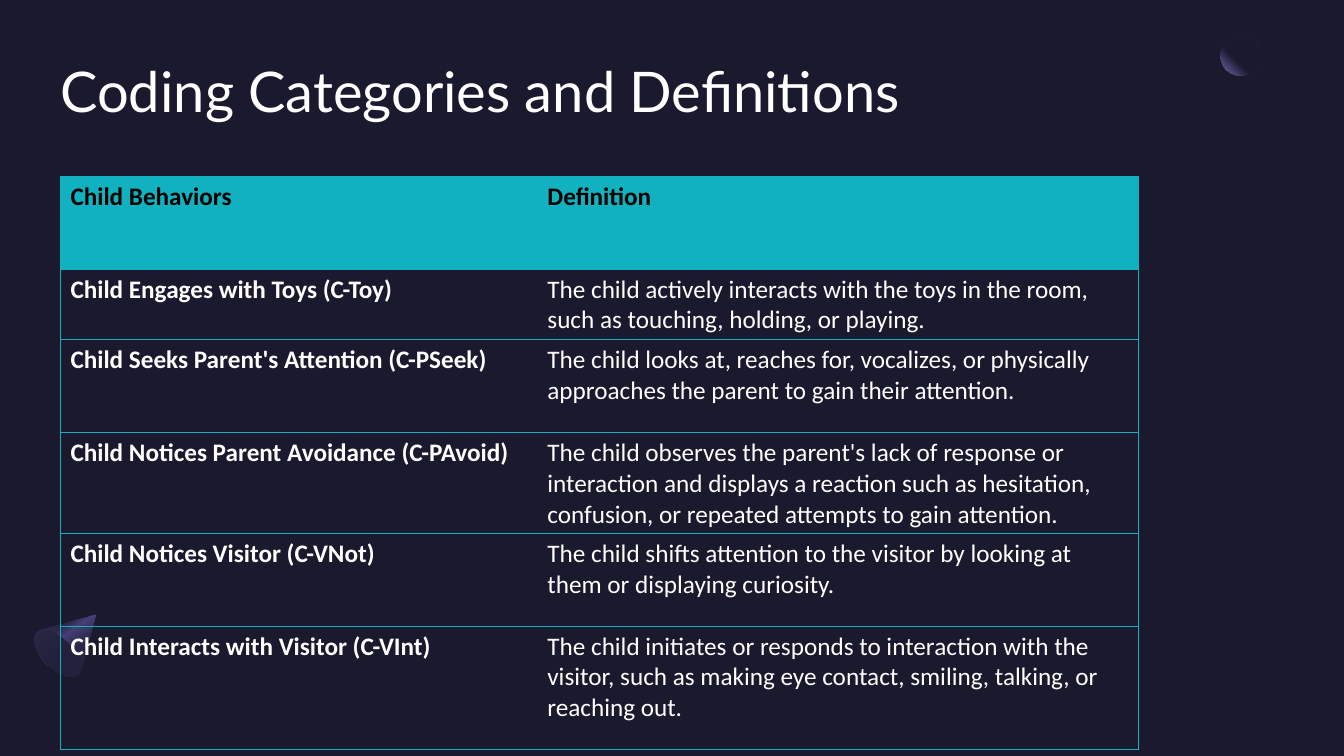
"""Build the slide of coding categories and their definitions."""
from lxml import etree
from pptx import Presentation
from pptx.dml.color import RGBColor
from pptx.enum.shapes import MSO_SHAPE
from pptx.oxml import parse_xml
from pptx.oxml.ns import nsdecls
from pptx.util import Inches, Pt

OVAL = MSO_SHAPE.OVAL
PLAIN = "{2D5ABB26-0587-4C30-8999-92F81FD0307C}"
HUES = {"night": "1B192E", "lilac": "7771B2", "dusk": "2C284A", "plum": "454075",
        "shade": "23213C", "teal": "12B1BF", "white": "FFFFFF", "black": "000000"}
CORNER = '<a:path path="circle"><a:fillToRect l="100000" b="100000"/></a:path>'
ROWS = [
    ("Child Behaviors", "Definition", 12.27),
    ("Child Engages with Toys (C-Toy)",
     "The child actively interacts with the toys in the room, such as touching, "
     "holding, or playing.", 9.2),
    ("Child Seeks Parent's Attention (C-PSeek)",
     "The child looks at, reaches for, vocalizes, or physically approaches the "
     "parent to gain their attention.", 12.27),
    ("Child Notices Parent Avoidance (C-PAvoid)",
     "The child observes the parent's lack of response or interaction and displays "
     "a reaction such as hesitation, confusion, or repeated attempts to gain "
     "attention.", 13.07),
    ("Child Notices Visitor (C-VNot)",
     "The child shifts attention to the visitor by looking at them or displaying "
     "curiosity.", 12.27),
    ("Child Interacts with Visitor (C-VInt)",
     "The child initiates or responds to interaction with the visitor, such as "
     "making eye contact, smiling, talking, or reaching out.", 16.27),
]
CONE = [(713, 8133), (600, 8880), (585, 8920), (548, 8947), (495, 8933), (420, 8880),
        (345, 8787), (293, 8667), (263, 8547), (255, 8440), (270, 8360), (293, 8333)]

deck = Presentation()
deck.slide_width, deck.slide_height = Inches(13.33), Inches(7.5)
col, row = deck.slide_width / 100, deck.slide_height / 100
slide = deck.slides.add_slide(deck.slide_layouts[6])
slide.background.fill.solid()
slide.background.fill.fore_color.rgb = RGBColor.from_string(HUES["night"])


def blend(shape, stops, course):
    """Give a shape a gradient and no line."""
    marks = "".join(f'<a:gs pos="{at * 1000}"><a:srgbClr val="{HUES[hue]}"/></a:gs>'
                    for at, hue in stops)
    shape.shadow.inherit = False
    shape.line.fill.background()
    shape.fill.background()
    old = shape._element.spPr.find("{*}noFill")
    old.getparent().replace(old, parse_xml(
        f'<a:gradFill {nsdecls("a")} rotWithShape="1"><a:gsLst>{marks}</a:gsLst>'
        f'{course}</a:gradFill>'))


def write(frame, text, font, size, hue, bold=False):
    """Put one run of text in a frame."""
    frame.word_wrap = True
    run = frame.paragraphs[0].add_run()
    run.text = text
    run.font.name, run.font.size, run.font.bold = font, Pt(size), bold
    run.font.color.rgb = RGBColor.from_string(HUES[hue])


moon = slide.shapes.add_shape(OVAL, int(90.82 * col), int(4.8 * row),
                              int(2.93 * col), int(5.2 * row))
blend(moon, [(60, "night"), (100, "lilac")], CORNER)

pen = slide.shapes.build_freeform(*CONE[0], scale=(col / 100, row / 100))
pen.add_line_segments(CONE[1:], close=True)
blend(pen.convert_to_shape(),
      [(30, "dusk"), (40, "plum"), (60, "dusk"), (100, "night")],
      f'<a:lin ang="{55 * 60000}" scaled="0"/>')

base = slide.shapes.add_shape(OVAL, int(3.15 * col), int(82.53 * row),
                              int(2.25 * col), int(7.87 * row))
base.rotation = 135
blend(base, [(50, "shade"), (100, "dusk")], f'<a:lin ang="{90 * 60000}" scaled="0"/>')

title = slide.shapes.add_textbox(int(4.5 * col), int(7.47 * row),
                                 int(91 * col), int(19.47 * row)).text_frame
title.margin_left = title.margin_top = title.margin_right = title.margin_bottom = 0
write(title, "Coding Categories and Definitions", "Lato", 40, "white")

frame = slide.shapes.add_table(len(ROWS), 2, int(4.5 * col), int(23.33 * row),
                               int(80.2 * col), int(75.35 * row))
table = frame.table
table._tbl.tblPr.find("{*}tableStyleId").text = PLAIN
table.horz_banding = False
for index, share in enumerate((35.48, 44.72)):
    table.columns[index].width = int(share * col)

for down, (*words, share) in enumerate(ROWS):
    table.rows[down].height = int(share * row)
    head = down == 0
    for over, text in enumerate(words):
        cell = table.cell(down, over)
        write(cell.text_frame, text, "Calibri", 18, "black" if head else "white",
              head or over == 0)
        props = cell._tc.get_or_add_tcPr()
        for side in ("lnR" if over else "lnL", "lnT", "lnB"):
            line = etree.SubElement(props, f"{{{props.nsmap['a']}}}{side}", w=str(Pt(0.5)))
            line.append(parse_xml(f'<a:solidFill {nsdecls("a")}>'
                                  f'<a:srgbClr val="{HUES["teal"]}"/></a:solidFill>'))
        if head:
            cell.fill.solid()
            cell.fill.fore_color.rgb = RGBColor.from_string(HUES["teal"])
        else:
            cell.fill.background()

deck.save("out.pptx")
